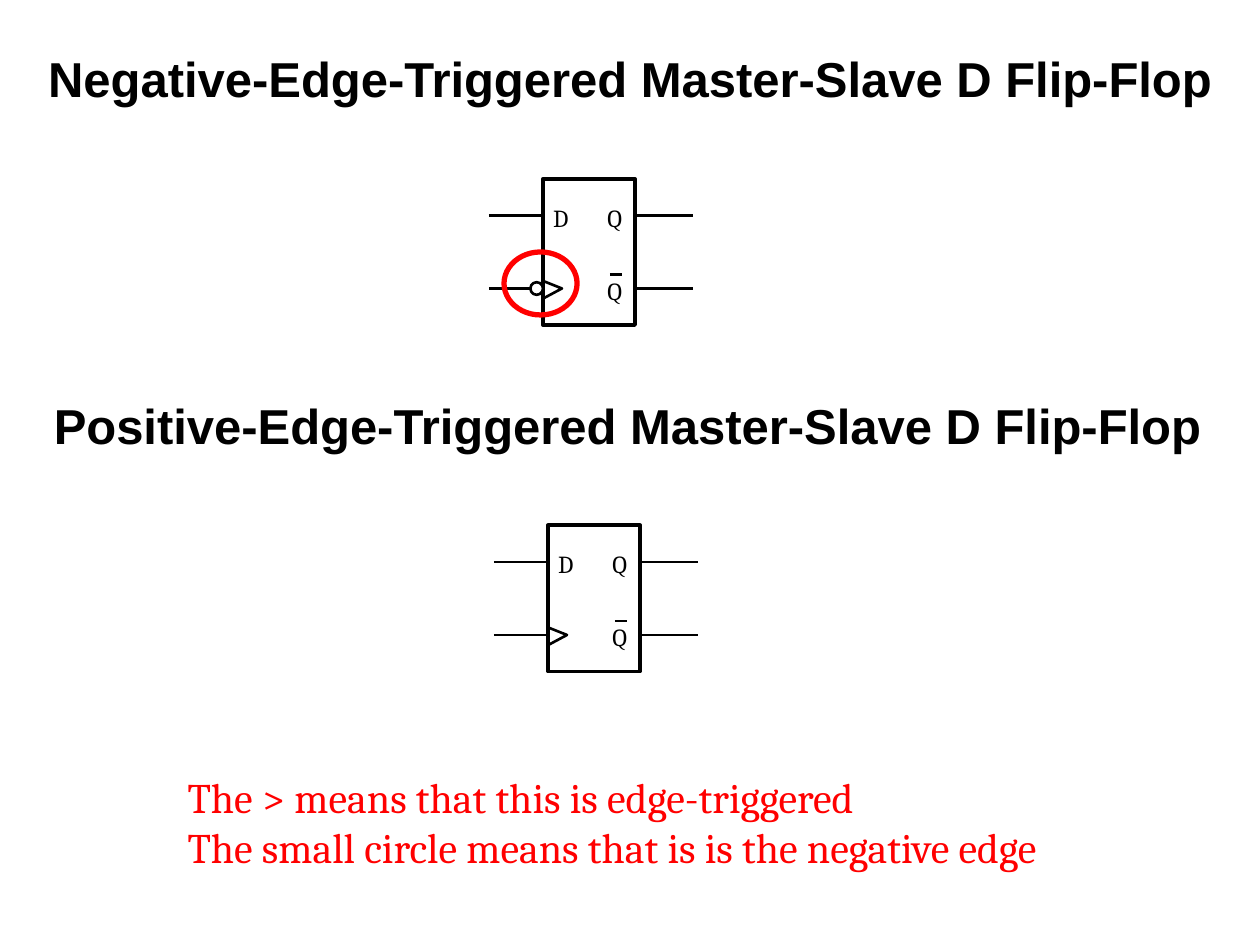
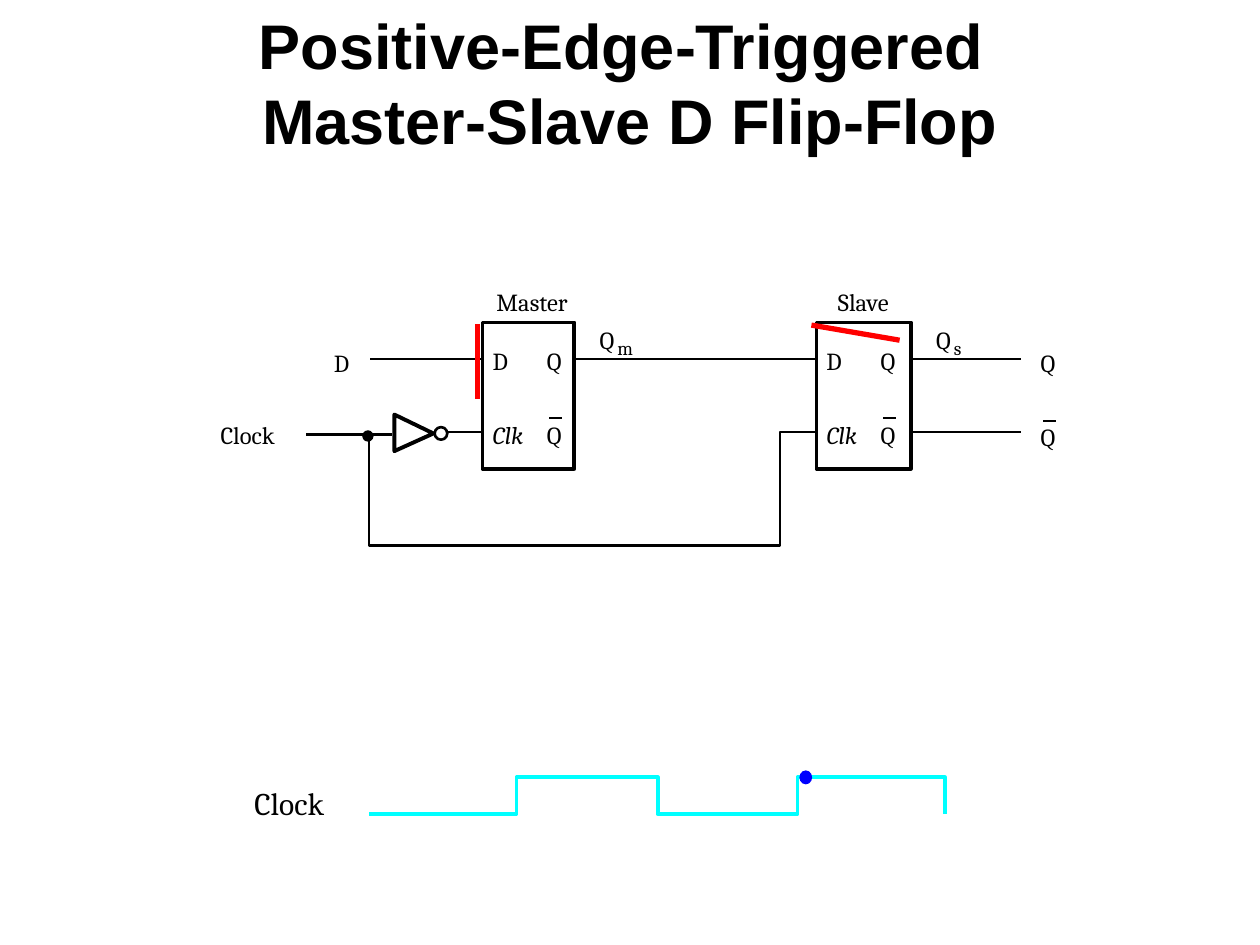
from pptx import Presentation
from pptx.dml.color import RGBColor
from pptx.enum.shapes import MSO_CONNECTOR, MSO_SHAPE
from pptx.enum.text import MSO_ANCHOR, MSO_AUTO_SIZE, PP_ALIGN
from pptx.oxml.ns import qn
from pptx.util import Inches, Pt
from lxml import etree

BLACK = RGBColor(0x00, 0x00, 0x00)
WHITE = RGBColor(0xFF, 0xFF, 0xFF)
RED = RGBColor(0xFF, 0x00, 0x00)
BLUE = RGBColor(0x00, 0x00, 0xFF)
CYAN = RGBColor(0x00, 0xFF, 0xFF)
TITLE_FONT, BODY_FONT = "Arial", "Cambria"

# The slide is a grid of 10 columns by 7.5 rows
COLS, ROWS = 10, 7.5
CELL = Inches(1)

# Flip-flop geometry, measured from the top left corner of its box
BOX_W, BOX_H = 0.73, 1.16
UPPER, LOWER = 0.29, 0.87
LABEL_ROW, LABEL_IN, LABEL_OUT = 0.19, 0.08, 0.51
LEAD = 0.43


def grid(*cells):
    return [int(c * CELL) for c in cells]


def style(sp, line, width, fill=None):
    sp.shadow.inherit = False
    if fill is None:
        sp.fill.background()
    else:
        sp.fill.solid()
        sp.fill.fore_color.rgb = fill
    sp.line.color.rgb = line
    sp.line.width = Pt(width)


def shape(s, kind, x, y, w, h, line=BLACK, width=2.25, fill=None):
    sp = s.shapes.add_shape(kind, *grid(x, y, w, h))
    style(sp, line, width, fill)


def wire(s, x1, y1, x2, y2, color=BLACK, width=1.5):
    cn = s.shapes.add_connector(MSO_CONNECTOR.STRAIGHT, *grid(x1, y1, x2, y2))
    cn.line.color.rgb = color
    cn.line.width = Pt(width)
    etree.SubElement(cn._element.spPr, qn("a:effectLst"))


def outline(s, points, line=BLACK, width=1.5, fill=None, close=False):
    start, *rest = [grid(*point) for point in points]
    fb = s.shapes.build_freeform(*start)
    fb.add_line_segments(rest, close=close)
    style(fb.convert_to_shape(), line, width, fill)


def write(tf, text, font, size, color, bold=False, italic=False, align=None):
    tf.text = text
    for p in tf.paragraphs:
        p.alignment = align
        for r in p.runs:
            r.font.name, r.font.size = font, Pt(size)
            r.font.bold, r.font.italic = bold, italic
            r.font.color.rgb = color


def title(s, text, x, y, h, size):
    tf = s.shapes.add_textbox(*grid(x, y, COLS, h)).text_frame
    tf.word_wrap = True
    tf.vertical_anchor = MSO_ANCHOR.MIDDLE
    write(tf, text, TITLE_FONT, size, BLACK, bold=True, align=PP_ALIGN.CENTER)


def label(s, text, x, y, w=0.27, h=0.26, size=14, color=BLACK, italic=False, inset=False):
    tf = s.shapes.add_textbox(*grid(x, y, w, h)).text_frame
    tf.word_wrap = False
    tf.auto_size = MSO_AUTO_SIZE.SHAPE_TO_FIT_TEXT
    if not inset:
        tf.margin_left = tf.margin_right = tf.margin_top = tf.margin_bottom = 0
    write(tf, text, BODY_FONT, size, color, italic=italic)


def q_bar(s, x, y):
    label(s, "Q", x, y)
    wire(s, x + 0.02, y - 0.01, x + 0.12, y - 0.01, width=1.38)


def q_sub(s, sub, x, y):
    label(s, "Q", x, y)
    label(s, sub, x + 0.14, y + 0.09, 0.2, 0.21, size=11)


def bubble(s, x, y, d=0.1):
    shape(s, MSO_SHAPE.OVAL, x, y - d / 2, d, d, width=1.5, fill=WHITE)


def latch(s, x, y, w=BOX_W):
    """Box with D, Q and inverted Q."""
    shape(s, MSO_SHAPE.RECTANGLE, x, y, w, BOX_H, fill=WHITE)
    label(s, "D", x + LABEL_IN, y + LABEL_ROW)
    label(s, "Q", x + LABEL_OUT, y + LABEL_ROW)
    q_bar(s, x + LABEL_OUT, y + LABEL_ROW + LOWER - UPPER)


def edge_symbol(s, x, y, negative=False):
    """Edge-triggered symbol with its four leads."""
    latch(s, x, y)
    d = 0.1 if negative else 0
    clk = y + LOWER
    outline(s, [(x, clk + 0.08), (x + 0.15, clk), (x, clk - 0.06)])
    wire(s, x - LEAD, y + UPPER, x, y + UPPER)
    wire(s, x - LEAD, clk, x - d, clk)
    for row in (UPPER, LOWER):
        wire(s, x + BOX_W, y + row, x + BOX_W + 0.46, y + row)
    if negative:
        bubble(s, x - d, clk)


def symbols_slide(prs):
    s = prs.slides.add_slide(prs.slide_layouts[6])
    title(s, "Negative-Edge-Triggered Master-Slave D Flip-Flop", 0, 0.28, 0.67, 28)
    title(s, "Positive-Edge-Triggered Master-Slave D Flip-Flop", -0.02, 3.04, 0.67, 28)
    edge_symbol(s, 4.31, 1.42, negative=True)
    edge_symbol(s, 4.35, 4.17)
    label(s, "The > means that this is edge-triggered\n"
             "The small circle means that is is the negative edge",
          1.39, 6.07, 6.96, 0.91, size=24, color=RED, inset=True)
    shape(s, MSO_SHAPE.OVAL, 4, 2, 0.58, 0.5, line=RED, width=3)


def clock_wave(s, low=6.46, high=6.17):
    edges = [4.1, 5.22, 6.33, 7.5]
    points, level = [(2.93, low)], low
    for x in edges:
        points.append((x, level))
        level = high if level == low else low
        points.append((x, level))
    outline(s, points, line=CYAN, width=2.25)
    label(s, "Clock", 1.92, 6.17, 0.81, 0.4, size=18, inset=True)
    shape(s, MSO_SHAPE.OVAL, 6.35, 6.12, 0.09, 0.1, line=BLUE, width=0.75, fill=BLUE)


def circuit_slide(prs):
    s = prs.slides.add_slide(prs.slide_layouts[6])
    clock_wave(s)

    # Wires
    master, slave, top = 3.83, 6.48, 2.56
    d_row, clk_row = top + UPPER, top + LOWER
    clock, loop, right = 3.45, 4.33, 8.1
    outline(s, [(2.43, clock), (2.93, clock), (2.93, loop),
                (6.19, loop), (6.19, clk_row), (slave, clk_row)])
    wire(s, 2.82, clock, 3.11, clock, width=1.38)
    wire(s, 3.54, clk_row, master, clk_row, width=1.38)
    wire(s, 2.94, d_row, master, d_row)
    wire(s, master + BOX_W, d_row, slave, d_row)
    for row in (d_row, clk_row):
        wire(s, slave + 0.75, row, right, row)

    # Inverter and clock junction
    outline(s, [(3.44, 3.44), (3.13, 3.58), (3.13, 3.29)], width=2.25, fill=WHITE, close=True)
    bubble(s, 3.45, 3.44)
    shape(s, MSO_SHAPE.OVAL, 2.88, 3.42, 0.08, 0.08, width=0.75, fill=BLACK)

    # Latches
    for x, w, name, name_x, sub, sub_x in (
            (master, BOX_W, "Master", 3.94, "m", 4.76),
            (slave, 0.75, "Slave", 6.65, "s", 7.43)):
        latch(s, x, top, w)
        label(s, "Clk", x + LABEL_IN, 3.33, 0.32, 0.23, italic=True)
        label(s, name, name_x, 2.28, 0.62)
        q_sub(s, sub, sub_x, 2.58)

    # Inputs and outputs
    label(s, "D", 2.65, 2.76)
    label(s, "Clock", 1.75, 3.33, 0.59)
    label(s, "Q", 8.26, 2.76)
    q_bar(s, 8.26, 3.35)

    # Switch marks
    wire(s, 3.79, 2.57, 3.79, 3.17, RED, 3)
    wire(s, 6.44, 2.58, 7.14, 2.7, RED, 3)
    title(s, "Positive-Edge-Triggered \nMaster-Slave D Flip-Flop", 0, -0.01, 1.32, 36)


def main():
    prs = Presentation()
    prs.slide_width, prs.slide_height = grid(COLS, ROWS)
    symbols_slide(prs)
    circuit_slide(prs)
    prs.save("out.pptx")


if __name__ == "__main__":
    main()
